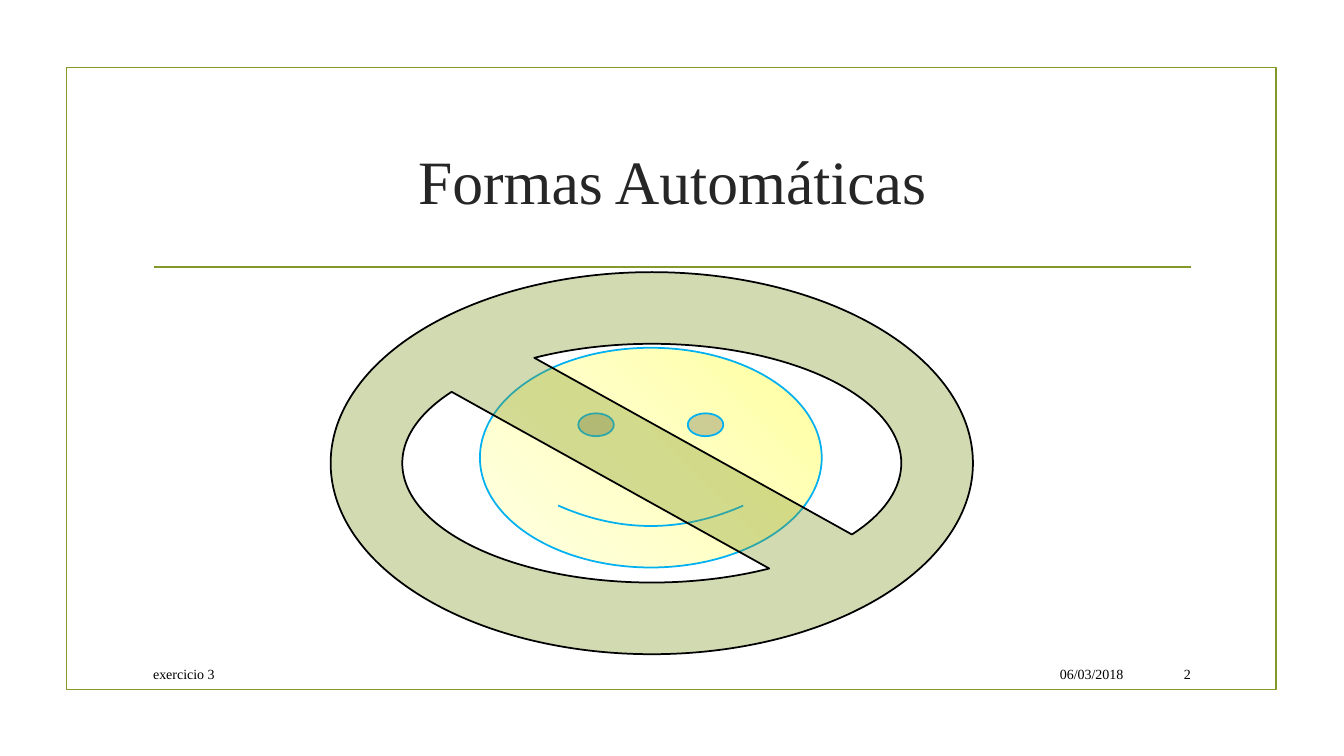
"""Build the "Formas Automáticas" slide with a crossed-out smiley face."""
import copy
from dataclasses import dataclass

import lxml.etree
import pptx
import pptx.dml.color
import pptx.enum.shapes
import pptx.enum.text
import pptx.oxml.ns
import pptx.shapes.autoshape
import pptx.slide
import pptx.text.text
import pptx.util

RGBColor = pptx.dml.color.RGBColor
Inches = pptx.util.Inches
Pt = pptx.util.Pt
Shape = pptx.enum.shapes.MSO_SHAPE
Align = pptx.enum.text.PP_ALIGN
qn = pptx.oxml.ns.qn

OLIVE = RGBColor(0x83, 0x99, 0x2A)
SKY = RGBColor(0x00, 0xB0, 0xF0)
BLACK = RGBColor(0x00, 0x00, 0x00)
CHARCOAL = RGBColor(0x26, 0x26, 0x26)
YELLOW = RGBColor(0xFF, 0xFF, 0xA0)
PALE_YELLOW = RGBColor(0xFF, 0xFF, 0xC5)
CREAM = RGBColor(0xFF, 0xFF, 0xE3)
FONT = "Times New Roman"
LINE_WIDTH = Pt(1.25)


@dataclass(frozen=True)
class Box:
    left: float
    top: float
    width: float
    height: float

    def lengths(self) -> list[int]:
        return [Inches(n) for n in (self.left, self.top, self.width, self.height)]


@dataclass(frozen=True)
class Figure:
    kind: Shape
    box: Box
    line: RGBColor


@dataclass(frozen=True)
class FooterItem:
    text: str
    left: float
    width: float
    align: Align


FRAME = Figure(Shape.RECTANGLE, Box(0.66, 0.67, 12, 6.17), OLIVE)
SMILEY = Figure(Shape.SMILEY_FACE, Box(4.76, 3.45, 3.39, 2.18), SKY)
NO_SIGN = Figure(Shape.NO_SYMBOL, Box(3.28, 2.7, 6.37, 3.79), BLACK)
TITLE_BOX = Box(1.42, 1.07, 10.5, 1.43)
FOOTER = [
    FooterItem("06/03/2018", 9.49, 1.75, Align.RIGHT),
    FooterItem("exercicio 3", 1.42, 7.99, Align.LEFT),
    FooterItem("2", 11.32, 0.59, Align.RIGHT),
]


def add_figure(slide: pptx.slide.Slide, figure: Figure) -> pptx.shapes.autoshape.Shape:
    shape = slide.shapes.add_shape(figure.kind, *figure.box.lengths())
    shape.shadow.inherit = False
    shape.fill.background()
    shape.line.color.rgb = figure.line
    shape.line.width = LINE_WIDTH
    return shape


def add_rule(slide: pptx.slide.Slide) -> None:
    rule = slide.shapes.add_connector(
        pptx.enum.shapes.MSO_CONNECTOR.STRAIGHT,
        Inches(1.53), Inches(2.65), Inches(11.81), Inches(2.65),
    )
    rule.line.color.rgb = OLIVE
    rule.line.width = LINE_WIDTH
    properties = rule.element.find(qn("p:spPr"))
    lxml.etree.SubElement(properties, qn("a:effectLst"))


def fill_gradient(shape: pptx.shapes.autoshape.Shape) -> None:
    shape.fill.gradient()
    shape.fill.gradient_angle = 225
    stop_list = next(shape.element.iter(qn("a:gsLst")))
    stop_list.insert(1, copy.deepcopy(stop_list[0]))
    colors = (YELLOW, PALE_YELLOW, CREAM)
    for index, (stop, color) in enumerate(zip(shape.fill.gradient_stops, colors)):
        stop.position = index / 2
        stop.color.rgb = color


def fill_translucent(shape: pptx.shapes.autoshape.Shape) -> None:
    shape.fill.solid()
    shape.fill.fore_color.rgb = OLIVE
    color = shape.element.find(qn("p:spPr")).find(qn("a:solidFill"))[0]
    lxml.etree.SubElement(color, qn("a:alpha"), val="36000")


def write_text(frame: pptx.text.text.TextFrame, text: str, size: int,
               color: RGBColor, align: Align) -> None:
    frame.word_wrap = True
    frame.vertical_anchor = pptx.enum.text.MSO_ANCHOR.MIDDLE
    paragraph = frame.paragraphs[0]
    paragraph.alignment = align
    run = paragraph.add_run()
    run.text = text
    run.font.color.rgb = color
    for name, value in {"name": FONT, "size": Pt(size)}.items():
        setattr(run.font, name, value)


def add_title(slide: pptx.slide.Slide) -> None:
    title = slide.shapes.title
    for name, value in zip(("left", "top", "width", "height"), TITLE_BOX.lengths()):
        setattr(title, name, value)
    write_text(title.text_frame, "Formas Automáticas", 44, CHARCOAL, Align.CENTER)


def add_footer(slide: pptx.slide.Slide, item: FooterItem) -> None:
    box = Box(item.left, 6.53, item.width, 0.31)
    text_box = slide.shapes.add_textbox(*box.lengths())
    write_text(text_box.text_frame, item.text, 10, BLACK, item.align)


def main() -> None:
    presentation = pptx.Presentation()
    presentation.slide_width = Inches(13.33)
    presentation.slide_height = Inches(7.5)
    slide = presentation.slides.add_slide(presentation.slide_layouts[5])
    add_figure(slide, FRAME)
    add_rule(slide)
    add_title(slide)
    fill_gradient(add_figure(slide, SMILEY))
    fill_translucent(add_figure(slide, NO_SIGN))
    for item in FOOTER:
        add_footer(slide, item)
    presentation.save("out.pptx")


if __name__ == "__main__":
    main()
